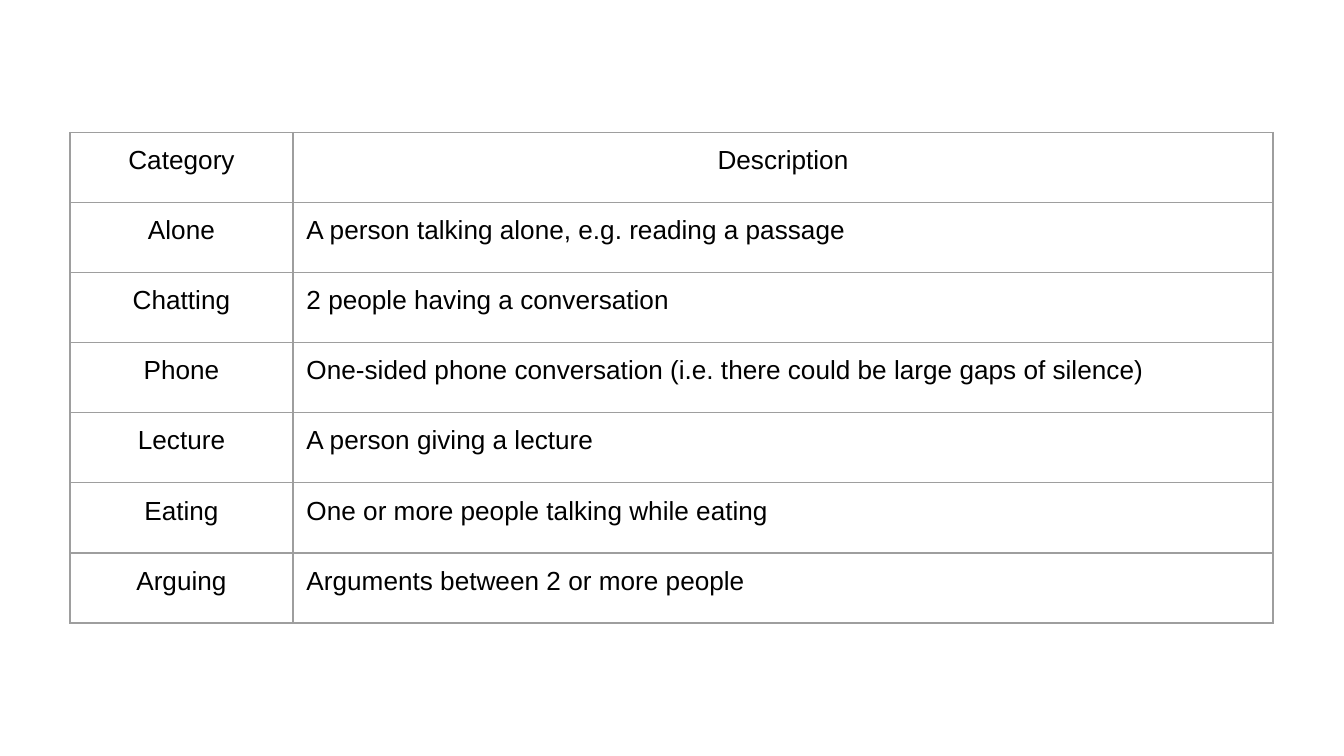
from lxml import etree
from pptx import Presentation
from pptx.dml.color import RGBColor
from pptx.enum.text import PP_ALIGN
from pptx.oxml.ns import qn
from pptx.util import Pt

COLORS = {"text": "000000", "border": "9E9E9E", "background": "FFFFFF"}
FONT = "Arial"
COLUMN_WIDTHS = (119.5, 525)
ROW_HEIGHT = 37.57
CELL_MARGIN = 7.2
CATEGORIES = [
    ("Category", "Description"),
    ("Alone", "A person talking alone, e.g. reading a passage"),
    ("Chatting", "2 people having a conversation"),
    ("Phone", "One-sided phone conversation (i.e. there could be large gaps of silence)"),
    ("Lecture", "A person giving a lecture"),
    ("Eating", "One or more people talking while eating"),
    ("Arguing", "Arguments between 2 or more people"),
]


def write_text(frame, text, size=14, color="text", align=PP_ALIGN.LEFT):
    paragraph = frame.paragraphs[0]
    paragraph.alignment = align
    run = paragraph.add_run()
    run.text = text
    run.font.name = FONT
    run.font.size = Pt(size)
    run.font.color.rgb = RGBColor.from_string(COLORS[color])


def set_borders(cell, color="border", width=0.75):
    properties = cell._tc.get_or_add_tcPr()
    for position, side in enumerate(("lnL", "lnR", "lnT", "lnB")):
        line = etree.Element(qn(f"a:{side}"), w=str(Pt(width)))
        fill = etree.SubElement(line, qn("a:solidFill"))
        etree.SubElement(fill, qn("a:srgbClr"), val=COLORS[color])
        properties.insert(position, line)


def format_cell(cell):
    cell.margin_left = cell.margin_right = Pt(CELL_MARGIN)
    cell.margin_top = cell.margin_bottom = Pt(CELL_MARGIN)
    cell.fill.background()
    set_borders(cell)


def add_category_table(slide, left, top):
    frame = slide.shapes.add_table(
        len(CATEGORIES), len(COLUMN_WIDTHS), Pt(left), Pt(top),
        Pt(sum(COLUMN_WIDTHS)), Pt(ROW_HEIGHT * len(CATEGORIES)))
    table = frame.table
    table.first_row = table.horz_banding = False
    for column, width in zip(table.columns, COLUMN_WIDTHS):
        column.width = Pt(width)
    for r, entry in enumerate(CATEGORIES):
        table.rows[r].height = Pt(ROW_HEIGHT)
        for c, text in enumerate(entry):
            cell = table.cell(r, c)
            format_cell(cell)
            centered = r == 0 or c == 0
            write_text(cell.text_frame, text,
                       align=PP_ALIGN.CENTER if centered else PP_ALIGN.LEFT)


def main():
    deck = Presentation()
    deck.slide_width, deck.slide_height = Pt(720), Pt(405)
    slide = deck.slides.add_slide(deck.slide_layouts[6])
    background = slide.background.fill
    background.solid()
    background.fore_color.rgb = RGBColor.from_string(COLORS["background"])
    add_category_table(slide, left=37.5, top=70.9)
    deck.save("out.pptx")


if __name__ == "__main__":
    main()
